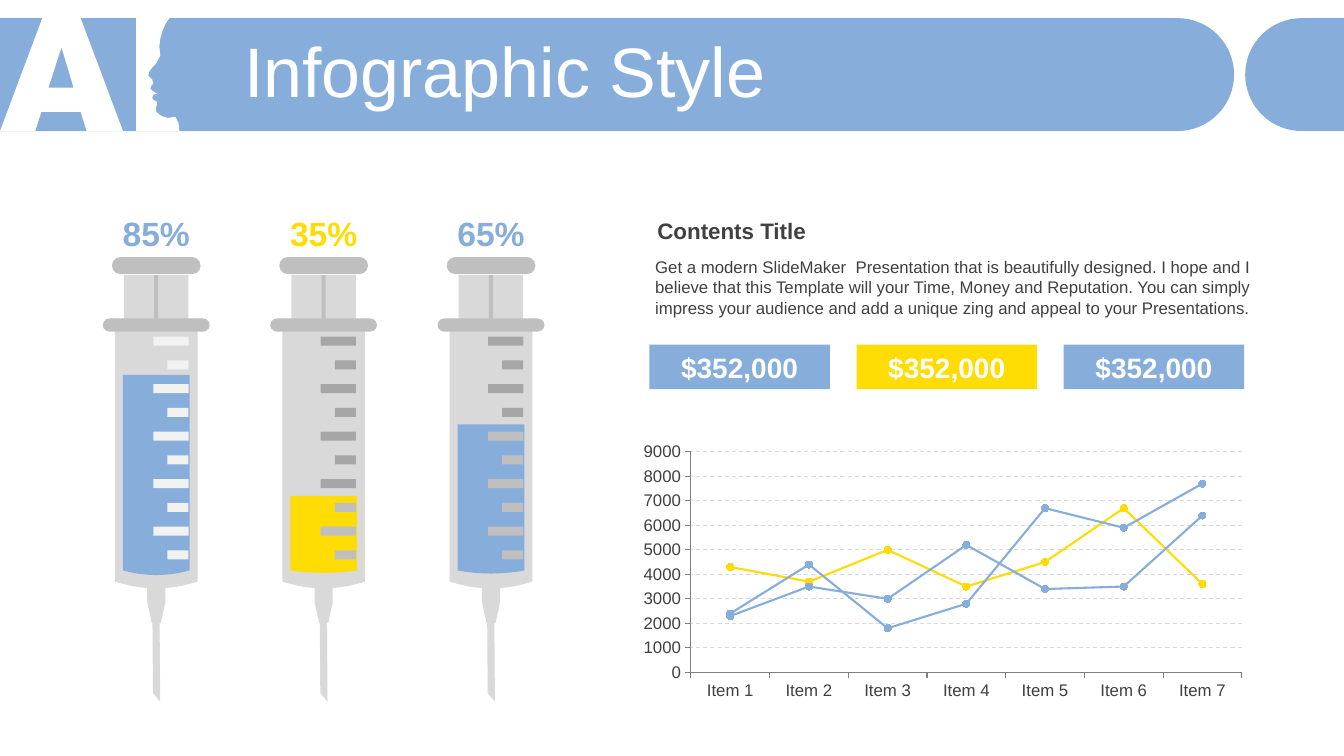
from math import cos, sin, pi

from lxml import etree
from pptx import Presentation
from pptx.chart.data import CategoryChartData
from pptx.dml.color import RGBColor
from pptx.enum.chart import XL_CHART_TYPE, XL_MARKER_STYLE, XL_TICK_MARK
from pptx.enum.dml import MSO_LINE
from pptx.enum.shapes import MSO_SHAPE
from pptx.enum.text import MSO_ANCHOR, PP_ALIGN
from pptx.util import Inches, Pt

RECT, ROUND = MSO_SHAPE.RECTANGLE, MSO_SHAPE.ROUNDED_RECTANGLE
STRIPE, TRAP = MSO_SHAPE.DIAGONAL_STRIPE, MSO_SHAPE.TRAPEZOID
LINES, DOT = XL_CHART_TYPE.LINE_MARKERS, XL_MARKER_STYLE.CIRCLE
OUT, DASH = XL_TICK_MARK.OUTSIDE, MSO_LINE.DASH
LEFT, CENTER = PP_ALIGN.LEFT, PP_ALIGN.CENTER
TOP, MIDDLE = MSO_ANCHOR.TOP, MSO_ANCHOR.MIDDLE

BLUE = RGBColor(0x87, 0xAD, 0xDB)
YELLOW = RGBColor(0xFE, 0xDC, 0x04)
WHITE = RGBColor(0xFF, 0xFF, 0xFF)
PALE = RGBColor(0xF2, 0xF2, 0xF2)
LIGHT = RGBColor(0xD9, 0xD9, 0xD9)
GRAY = RGBColor(0xBF, 0xBF, 0xBF)
DARK = RGBColor(0xA6, 0xA6, 0xA6)
AXIS = RGBColor(0x80, 0x80, 0x80)
INK = RGBColor(0x40, 0x40, 0x40)
FONT = "Arial"

TITLE = "Infographic Style"
HEAD = "Contents Title"
BODY = (
    "Get a modern SlideMaker  Presentation that is beautifully designed. "
    "I hope and I believe that this Template will your Time, Money and "
    "Reputation. You can simply impress your audience and add a unique zing "
    "and appeal to your Presentations."
)
SYRINGES = [
    ("85%", BLUE, 3.72, 0.06, PALE, PALE),
    ("35%", YELLOW, 4.92, 0.03, DARK, GRAY),
    ("65%", BLUE, 4.21, 0.04, DARK, GRAY),
]
SUMS = [("$352,000", BLUE), ("$352,000", YELLOW), ("$352,000", BLUE)]
ITEMS = ["Item 1", "Item 2", "Item 3", "Item 4", "Item 5", "Item 6", "Item 7"]
SERIES = [
    ("Series 1", YELLOW, (4300, 3700, 5000, 3500, 4500, 6700, 3600)),
    ("Series 2", BLUE, (2400, 4400, 1800, 2800, 6700, 5900, 7700)),
    ("Series 3", BLUE, (2300, 3500, 3000, 5200, 3400, 3500, 6400)),
]
LETTER = [(0.42, 0.18), (0.8, 0.18), (1.22, 1.3), (0.86, 1.3),
          (0.8, 1.11), (0.41, 1.11), (0.35, 1.3), (0, 1.3)]
HOLE = [(0.61, 0.47), (0.48, 0.87), (0.73, 0.87)]
FACE = [(1.35, 0.18), (1.68, 0.18), (1.64, 0.24), (1.61, 0.31), (1.59, 0.38),
        (1.58, 0.46), (1.59, 0.55), (1.55, 0.63), (1.51, 0.67), (1.48, 0.71),
        (1.47, 0.75), (1.51, 0.79), (1.52, 0.83), (1.5, 0.85), (1.49, 0.88),
        (1.51, 0.9), (1.56, 0.93), (1.52, 0.94), (1.51, 0.97), (1.52, 0.99),
        (1.56, 1.01), (1.55, 1.06), (1.55, 1.11), (1.6, 1.15), (1.66, 1.17),
        (1.74, 1.16), (1.77, 1.22), (1.78, 1.3), (1.35, 1.3)]


def paint(shape, color):
    shape.shadow.inherit = False
    shape.fill.solid()
    shape.fill.fore_color.rgb = color
    shape.line.fill.background()
    return shape


def block(pool, kind, x, y, w, h, color):
    spot = [Inches(v) for v in (x, y, w, h)]
    return paint(pool.add_shape(kind, *spot), color)


def outline(pool, loops, color):
    loops = [[(Inches(x), Inches(y)) for x, y in loop] for loop in loops]
    pen = pool.build_freeform(*loops[0][0])
    for loop in loops:
        pen.move_to(*loop[0])
        pen.add_line_segments(loop[1:], close=True)
    return paint(pen.convert_to_shape(), color)


def arc(x, start):
    turns = [start + pi * i / 32 for i in range(33)]
    return [(x + 0.56 * cos(t), 0.74 + 0.56 * sin(t)) for t in turns]


def barrel(pool, x, top, w, low, bulge, color):
    steps = [i / 16 for i in range(17)]
    base = [(x + w * (1 - t), low + 3 * bulge * t * (1 - t)) for t in steps]
    outline(pool, [[(x, top), (x + w, top)] + base], color)


def write(shape, text, size, color, bold=False, align=LEFT, anchor=TOP, pad=0.1):
    frame = shape.text_frame
    frame.word_wrap = True
    frame.vertical_anchor = anchor
    frame.margin_left = frame.margin_right = Inches(pad)
    frame.text = text
    para = frame.paragraphs[0]
    para.alignment = align
    font = para.font
    font.name, font.size, font.bold = FONT, Pt(size), bold
    font.color.rgb = color
    return para


def label(pool, x, y, w, h, *args, **opts):
    spot = [Inches(v) for v in (x, y, w, h)]
    write(pool.add_textbox(*spot), *args, **opts)


def syringe(pool, x, color, level, bulge, clear, wet):
    needle = block(pool, STRIPE, x + 0.23, 6.03, 0.67, 0.81, LIGHT)
    needle.rotation = 320
    needle.adjustments[0] = 0.863
    barrel(pool, x + 0.12, 3.28, 0.82, 5.77, 0.09, LIGHT)
    block(pool, ROUND, x + 0.09, 2.55, 0.88, 0.17, GRAY).adjustments[0] = 0.5
    block(pool, RECT, x + 0.21, 2.73, 0.64, 0.46, LIGHT)
    block(pool, RECT, x + 0.44, 5.81, 0.18, 0.17, LIGHT)
    block(pool, TRAP, x + 0.44, 5.97, 0.18, 0.21, LIGHT).rotation = 180
    block(pool, ROUND, x, 3.16, 1.06, 0.13, GRAY).adjustments[0] = 0.5
    barrel(pool, x + 0.2, level, 0.66, 5.66, bulge, color)
    block(pool, RECT, x + 0.51, 2.73, 0.04, 0.46, GRAY)
    for i in range(10):
        y = 3.34 + i * 2.12 / 9
        w = 0.21 if i % 2 else 0.35
        block(pool, RECT, x + 0.85 - w, y, w, 0.09, wet if y > level else clear)


def graph(pool):
    data = CategoryChartData(number_format="General")
    data.categories = ITEMS
    for name, _, vals in SERIES:
        data.add_series(name, vals)
    spot = [Inches(v) for v in (6.26, 4.34, 6.18, 2.66)]
    chart = pool.add_chart(LINES, *spot, data).chart
    chart.has_legend = chart.has_title = False
    chart.font.name, chart.font.size = FONT, Pt(12)
    chart.font.color.rgb = INK
    for line, (_, color, _) in zip(chart.plots[0].series, SERIES):
        line.smooth = False
        line.format.line.width = Pt(1.5)
        line.format.line.color.rgb = color
        mark = line.marker
        mark.style, mark.size = DOT, 5
        mark.format.fill.solid()
        mark.format.fill.fore_color.rgb = color
        mark.format.line.color.rgb = color
    chart.plots[0].vary_by_categories = False
    for axis in (chart.category_axis, chart.value_axis):
        axis.major_tick_mark = OUT
        axis.format.line.color.rgb = AXIS
        axis.format.line.width = Pt(0.75)
    axis = chart.value_axis
    axis.minimum_scale, axis.maximum_scale, axis.major_unit = 0, 9000, 1000
    grid = axis.major_gridlines.format.line
    grid.color.rgb, grid.width, grid.dash_style = LIGHT, Pt(0.75), DASH


def main():
    deck = Presentation()
    deck.slide_width, deck.slide_height = Inches(13.33), Inches(7.5)
    slide = deck.slides.add_slide(deck.slide_layouts[5])
    pool = slide.shapes
    outline(pool, [[(0, 0.18)] + arc(11.68, -pi / 2) + [(0, 1.3)]], BLUE)
    outline(pool, [LETTER, HOLE, FACE], WHITE)
    outline(pool, [arc(12.91, pi / 2) + [(13.33, 0.18), (13.33, 1.3)]], BLUE)

    title = pool.title
    title.left, title.top = Inches(2.32), Inches(0.37)
    title.width, title.height = Inches(10.69), Inches(0.79)
    para = write(title, TITLE, 50, WHITE, anchor=MIDDLE)
    para.line_spacing, para.space_before = 0.8, Pt(10)
    pool._spTree.append(title._element)

    for i, (share, color, *rest) in enumerate(SYRINGES):
        x = 1.02 + 1.66 * i
        syringe(pool.add_group_shape().shapes, x, color, *rest)
        label(pool, x + 0.04, 2.06, 0.98, 0.5, share, 24, color,
              bold=True, align=CENTER)

    label(pool, 6.4, 2.5, 6.17, 0.71, BODY, 12, INK)
    label(pool, 6.4, 2.11, 6.18, 0.37, HEAD, 16, INK, bold=True, pad=0.12)
    for i, (total, color) in enumerate(SUMS):
        card = block(pool, RECT, 6.44 + 2.055 * i, 3.42, 1.79, 0.44, color)
        write(card, total, 20, WHITE, bold=True, align=CENTER, anchor=MIDDLE)
    graph(pool)
    deck.save("out.pptx")


if __name__ == "__main__":
    main()
